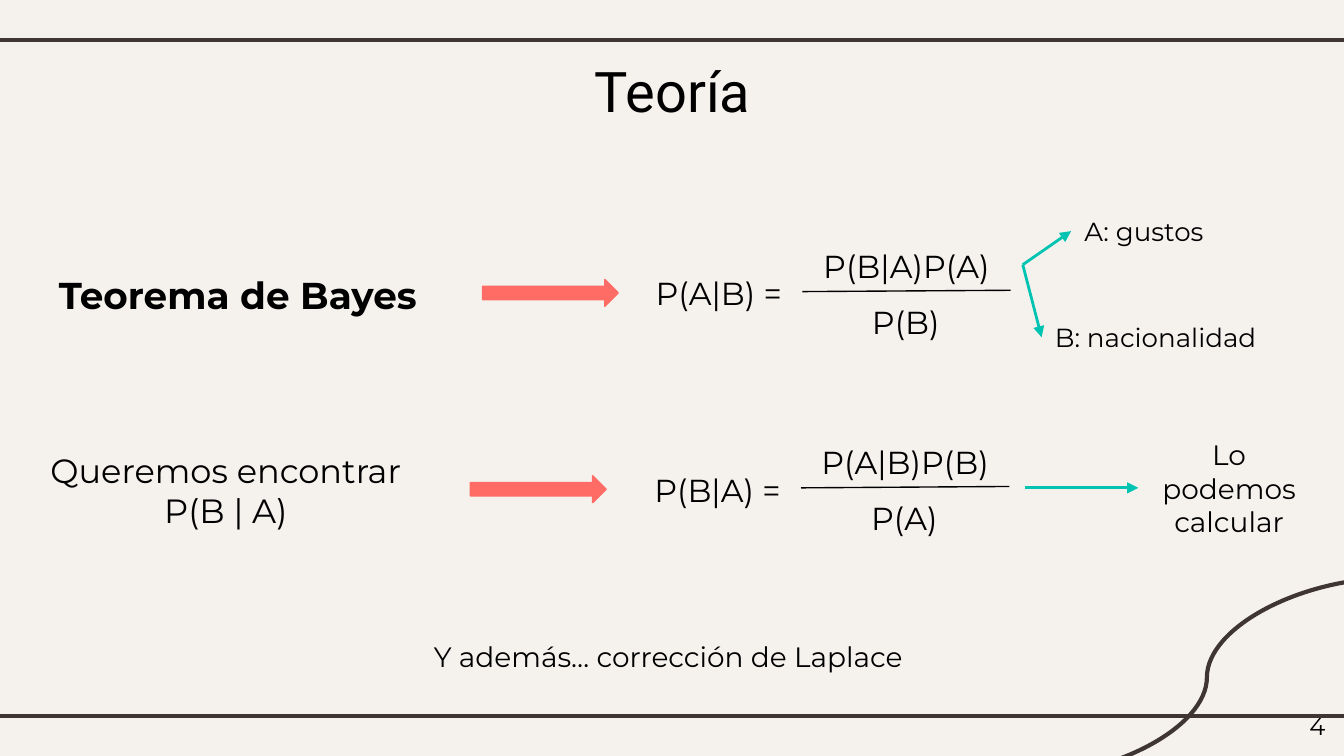
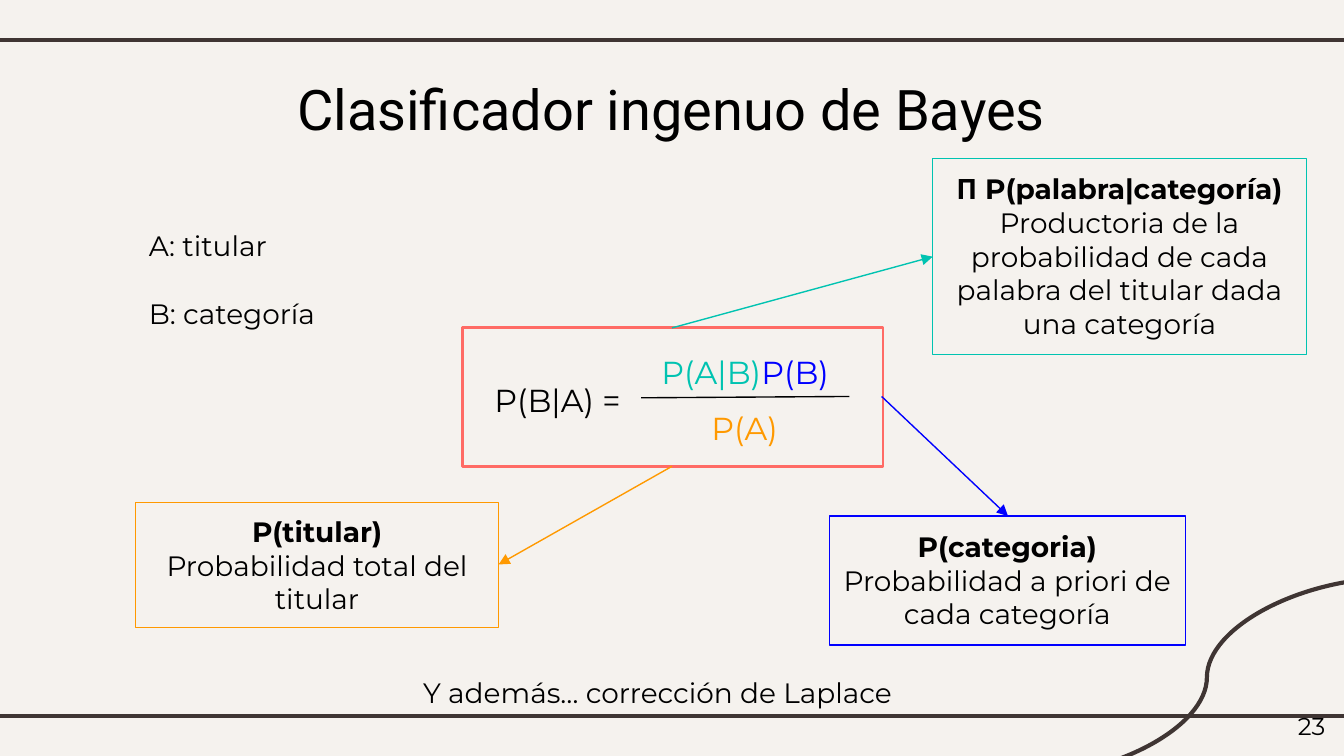
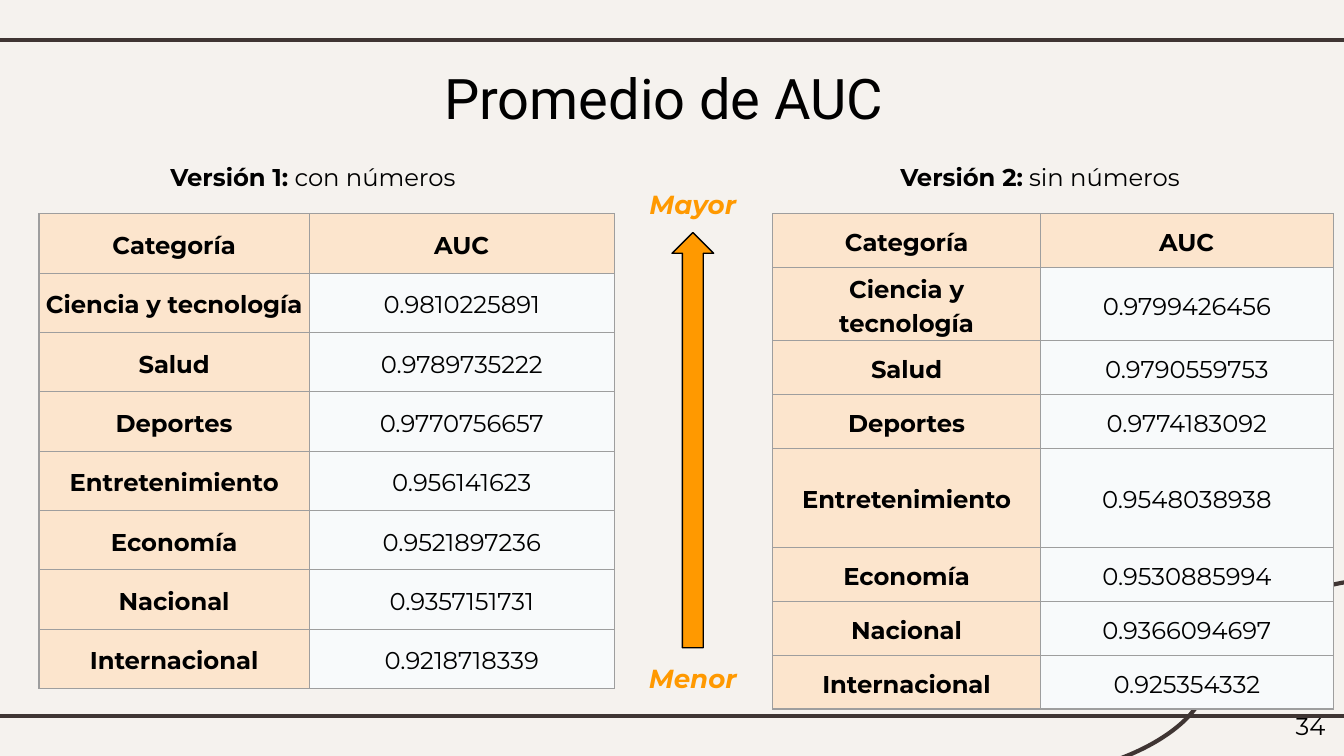
import pptx
import pptx.dml.color
import pptx.enum.dml
import pptx.enum.shapes
import pptx.enum.text
import pptx.oxml
import pptx.oxml.ns
import pptx.util
from lxml import etree

RGBColor = pptx.dml.color.RGBColor
SHAPE = pptx.enum.shapes.MSO_SHAPE
CONNECTOR = pptx.enum.shapes.MSO_CONNECTOR
ALIGN = pptx.enum.text.PP_ALIGN
ANCHOR = pptx.enum.text.MSO_ANCHOR

# Palette and fonts
CREAM = RGBColor(0xF5, 0xF2, 0xEE)
BROWN = RGBColor(0x3F, 0x35, 0x33)
BLACK = RGBColor(0x00, 0x00, 0x00)
CORAL = RGBColor(0xFF, 0x6B, 0x65)
TEAL = RGBColor(0x00, 0xC3, 0xB1)
BLUE = RGBColor(0x00, 0x00, 0xFF)
ORANGE = RGBColor(0xFF, 0x99, 0x00)
PEACH = RGBColor(0xFC, 0xE5, 0xCD)
PALE = RGBColor(0xF8, 0xFA, 0xFB)
GREY = RGBColor(0x9E, 0x9E, 0x9E)
TITLE_FONT = "Roboto"
BODY_FONT = "Montserrat"

# Grid of 100 columns by 56.25 rows, with square cells
CELL = 0.1
COLUMNS, ROWS = 100, 56.25
LAPLACE = "Y además… corrección de Laplace"


def grid(cells):
    return pptx.util.Inches(cells * CELL)


class Painter:
    """Holds the shared style and draws on the current slide."""

    def __init__(self):
        self.deck = pptx.Presentation()
        self.deck.slide_width = grid(COLUMNS)
        self.deck.slide_height = grid(ROWS)
        background = self.deck.slide_master.background.fill
        background.solid()
        background.fore_color.rgb = CREAM
        self.page = None

    def new_page(self, title, number, left, top, width, height):
        self.page = self.deck.slides.add_slide(self.deck.slide_layouts[5])
        # Bands and corner curve
        for row in (3, 53.3):
            self.line((-0.8, row), (COLUMNS + 0.8, row), BROWN, 2.25)
        self.line((103.7, 43), (75.9, 57.8), BROWN, 2.25, kind=CONNECTOR.CURVE)
        # Title and page number
        heading = self.page.shapes.title
        heading.left, heading.top = grid(left), grid(top)
        heading.width, heading.height = grid(width), grid(height)
        self.set_lines(heading, [title], 30, font=TITLE_FONT)
        self.text([str(number)], 93.6, 51.9, 6, 4.3, 13,
                  align=ALIGN.RIGHT, anchor=ANCHOR.TOP)

    def set_lines(self, shape, lines, size, align=ALIGN.CENTER, anchor=ANCHOR.MIDDLE,
                  font=BODY_FONT, gap=0, **style):
        """Each line is a string or a list of (text, style) spans."""
        frame = shape.text_frame
        frame.auto_size = pptx.enum.text.MSO_AUTO_SIZE.NONE
        frame.word_wrap = True
        frame.vertical_anchor = anchor
        frame.margin_left = frame.margin_right = grid(1)
        frame.margin_top = frame.margin_bottom = grid(1)
        for index, line in enumerate(lines):
            para = frame.add_paragraph() if index else frame.paragraphs[0]
            para.alignment = align
            if index and gap:
                para.space_before = pptx.util.Pt(gap)
            spans = [(line, {})] if isinstance(line, str) else line
            for words, extra in spans:
                span = para.add_run()
                span.text = words
                self.style(span.font, size, font, **{**style, **extra})

    def style(self, face, size, name=BODY_FONT, colour=BLACK, bold=False, italic=False):
        face.name, face.size = name, pptx.util.Pt(size)
        face.bold, face.italic = bold, italic
        face.color.rgb = colour

    def text(self, lines, left, top, width, height, size, **options):
        box = self.page.shapes.add_textbox(
            grid(left), grid(top), grid(width), grid(height))
        self.set_lines(box, lines, size, **options)

    def shape(self, kind, left, top, width, height, outline, weight=0.75, fill=None):
        figure = self.page.shapes.add_shape(
            kind, grid(left), grid(top), grid(width), grid(height))
        figure.shadow.inherit = False
        if fill is None:
            figure.fill.background()
        else:
            figure.fill.solid()
            figure.fill.fore_color.rgb = fill
        figure.line.color.rgb = outline
        figure.line.width = pptx.util.Pt(weight)
        return figure

    def line(self, start, end, colour, weight=0.75, arrow=False,
             kind=CONNECTOR.STRAIGHT):
        link = self.page.shapes.add_connector(
            kind, *(grid(value) for value in (*start, *end)))
        link.line.color.rgb = colour
        link.line.width = pptx.util.Pt(weight)
        properties = link._element.spPr
        if arrow:
            tail = etree.SubElement(properties.find(pptx.oxml.ns.qn("a:ln")),
                                    pptx.oxml.ns.qn("a:tailEnd"))
            tail.set("type", "triangle")
        etree.SubElement(properties, pptx.oxml.ns.qn("a:effectLst"))

    def note(self, heading, body, left, top, width, height, colour, anchor=ANCHOR.TOP):
        frame = self.shape(SHAPE.RECTANGLE, left, top, width, height, colour)
        self.set_lines(frame, [[(heading, {"bold": True})], body], 15, anchor=anchor)

    def formula(self, result, numerator, denominator, left, top, colour=BLACK):
        """Fraction whose parts are placed from the corner of its left side."""
        self.text([f"{result} ="], left, top, 12.4, 4.9, 17,
                  align=ALIGN.LEFT, anchor=ANCHOR.TOP)
        self.text([numerator], left + 11, top - 2.1, 17.3, 4.9, 17)
        self.line((left + 11.9, top + 2.3), (left + 27.4, top + 2.2), BLACK)
        self.text([denominator], left + 15.9, top + 2.1, 7.4, 4.9, 17,
                  anchor=ANCHOR.TOP, colour=colour)

    def table(self, rows, left, top, widths, heights, side_margin):
        holder = self.page.shapes.add_table(
            len(rows), len(widths), grid(left), grid(top),
            grid(sum(widths)), grid(sum(heights)))
        table = holder.table
        table.first_row = table.horz_banding = False
        for column, width in zip(table.columns, widths):
            column.width = grid(width)
        for band, height in zip(table.rows, heights):
            band.height = grid(height)
        for r, row in enumerate(rows):
            for c, words in enumerate(row):
                label = r == 0 or c == 0
                self.fill_cell(table.cell(r, c), words, label,
                               side_margin if r else 0.3)

    def fill_cell(self, cell, words, label, side_margin):
        cell.fill.solid()
        cell.fill.fore_color.rgb = PEACH if label else PALE
        cell.vertical_anchor = ANCHOR.MIDDLE
        cell.margin_left = cell.margin_right = grid(side_margin)
        cell.margin_top = cell.margin_bottom = grid(0.2)
        cell.text_frame.text = words
        para = cell.text_frame.paragraphs[0]
        para.alignment, para.line_spacing = ALIGN.CENTER, 1.15
        self.style(para.runs[0].font, 13, bold=label)
        # Cell borders
        properties = cell._tc.get_or_add_tcPr()
        for index, side in enumerate("LRTB"):
            properties.insert(index, pptx.oxml.parse_xml(
                f'<a:ln{side} {pptx.oxml.ns.nsdecls("a")} w="8500"><a:solidFill>'
                f'<a:srgbClr val="{GREY}"/></a:solidFill></a:ln{side}>'))


def theory(painter):
    painter.new_page("Teoría", 4, 26.4, 4, 47.3, 5.4)
    # Theorem and target, each with its arrow and formula
    painter.text(["Teorema de Bayes"], 1.3, 17.5, 32.8, 8.8, 20, bold=True)
    painter.text(["Queremos encontrar P(B | A)"], 1.9, 32.4, 29.8, 8.1, 18)
    for left, top in ((35.9, 20.8), (35, 35.4)):
        painter.shape(SHAPE.RIGHT_ARROW, left, top, 10.1, 2, CORAL, fill=CORAL)
    painter.formula("P(A|B)", "P(B|A)P(A)", "P(B)", 47.8, 19.4)
    painter.formula("P(B|A)", "P(A|B)P(B)", "P(A)", 47.7, 34)
    # Meaning of each event
    painter.text(["A: gustos"], 79.7, 15, 14.8, 4.4, 14, align=ALIGN.LEFT)
    painter.text(["B: nacionalidad"], 77.5, 22.9, 19.2, 4.4, 14, align=ALIGN.LEFT)
    painter.text(["Lo podemos calcular"], 84.7, 31.9, 13.5, 8.8, 15)
    fork = (76.1, 19.7)
    for start, end in ((fork, (79.7, 17.2)), (fork, (77.5, 25.1)),
                       ((76.3, 36.3), (84.7, 36.3))):
        painter.line(start, end, TEAL, 1.5, arrow=True)
    painter.text([LAPLACE], 31.3, 45.6, 38.9, 6.5, 15, align=ALIGN.LEFT)


def classifier(painter):
    painter.new_page("Clasificador ingenuo de Bayes", 23, 18.9, 4.9, 62.1, 6.3)
    painter.text(["A: titular", "B: categoría"], 10.1, 15.2, 19.7, 11.2, 15,
                 align=ALIGN.JUSTIFY, gap=18.3)
    # Framed formula
    painter.formula("P(B|A)", [("P(A|B)", {"colour": TEAL}), ("P(B)", {"colour": BLUE})],
                    "P(A)", 35.8, 27.3, colour=ORANGE)
    painter.shape(SHAPE.RECTANGLE, 34.4, 24.4, 31.3, 10.3, CORAL, 1.5)
    # Explanation of each factor
    painter.note("Π P(palabra|categoría)",
                 "Productoria de la probabilidad de cada palabra del titular "
                 "dada una categoría", 69.4, 11.8, 27.8, 14.6, TEAL)
    painter.note("P(categoria)", "Probabilidad a priori de cada categoría",
                 61.7, 38.4, 26.5, 9.6, BLUE)
    painter.note("P(titular)", "Probabilidad total del titular",
                 10.1, 37.4, 27, 9.3, ORANGE, ANCHOR.MIDDLE)
    for start, end, colour in (((65.6, 29.5), (75, 38.4), BLUE),
                               ((50, 24.4), (69.4, 19.1), TEAL),
                               ((50, 34.7), (37.1, 42), ORANGE)):
        painter.line(start, end, colour, arrow=True)
    painter.text([LAPLACE], 30.5, 48.3, 38.9, 6.5, 15, align=ALIGN.LEFT)


def averages(painter):
    painter.new_page("Promedio de AUC", 34, 10.4, 4.1, 78, 6.3)
    categories = ["Ciencia y tecnología", "Salud", "Deportes", "Entretenimiento",
                  "Economía", "Nacional", "Internacional"]
    with_numbers = ["0.9810225891", "0.9789735222", "0.9770756657", "0.956141623",
                    "0.9521897236", "0.9357151731", "0.9218718339"]
    without_numbers = ["0.9799426456", "0.9790559753", "0.9774183092", "0.9548038938",
                       "0.9530885994", "0.9366094697", "0.925354332"]
    # Version headings and tables
    versions = (
        ("Versión 1:", " con números", 11.7, with_numbers,
         2.9, (20.1, 22.7), [4.42] * 8, 0.3),
        ("Versión 2:", " sin números", 66, without_numbers,
         57.5, (19.9, 21.8), [4] * 4 + [7.4] + [4] * 3, 1),
    )
    for name, detail, name_left, values, left, widths, heights, margin in versions:
        painter.text([[(name, {"bold": True}), (detail, {})]],
                     name_left, 11.1, 25.1, 4.2, 13,
                     align=ALIGN.LEFT, anchor=ANCHOR.TOP)
        painter.table([("Categoría", "AUC"), *zip(categories, values)],
                      left, 15.9, widths, heights, margin)
    # Scale between the tables
    for label, top in (("Menor", 48.3), ("Mayor", 13)):
        painter.text([label], 46.5, top, 10.1, 4.4, 14, anchor=ANCHOR.TOP,
                     colour=ORANGE, bold=True, italic=True)
    painter.shape(SHAPE.UP_ARROW, 50, 17.3, 3.1, 30.9, BLACK, fill=ORANGE)


def main():
    painter = Painter()
    for build in (theory, classifier, averages):
        build(painter)
    painter.deck.save("out.pptx")


if __name__ == "__main__":
    main()
